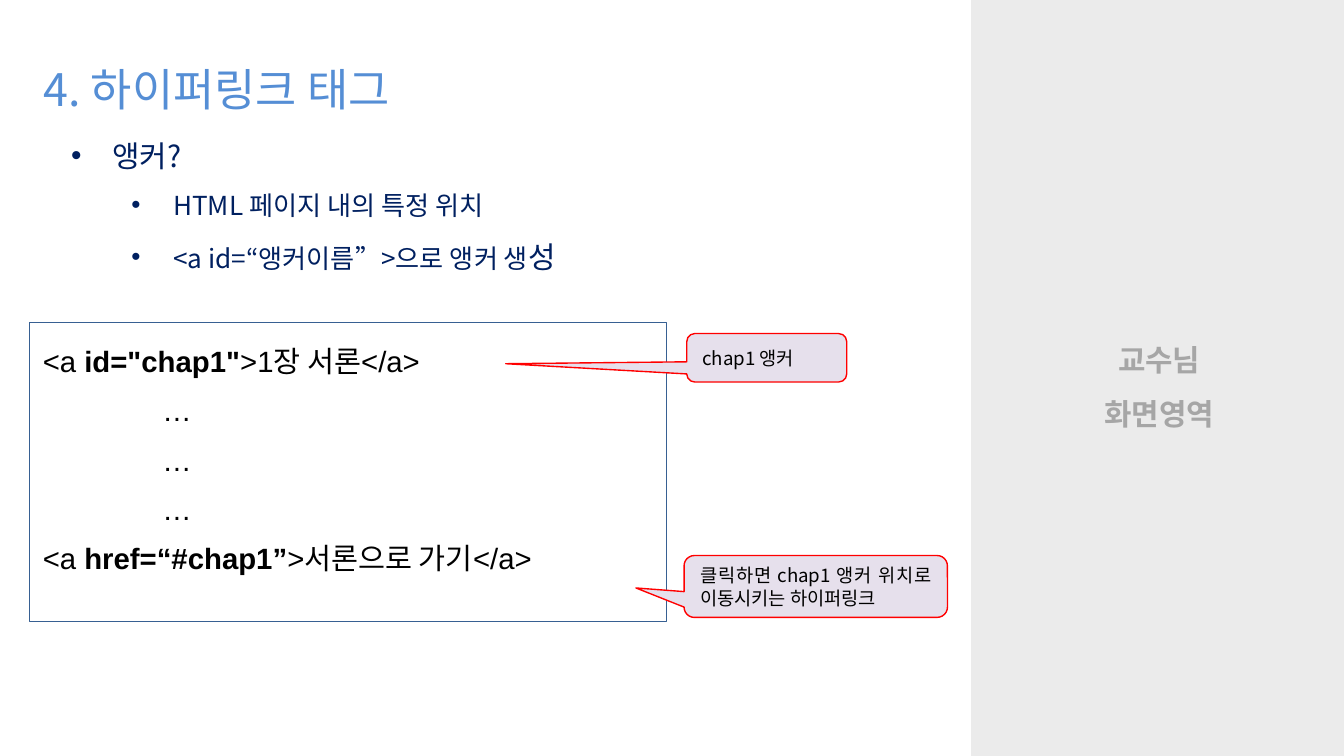
from lxml.etree import SubElement
from pptx import Presentation
from pptx.dml.color import RGBColor
from pptx.enum.shapes import MSO_SHAPE
from pptx.enum.text import MSO_ANCHOR, PP_ALIGN
from pptx.oxml.ns import qn
from pptx.util import Inches, Pt

SANS, ARIAL = "Noto Sans CJK KR", "Arial"
BLACK = RGBColor(0x00, 0x00, 0x00)
SKY = RGBColor(0x55, 0x8E, 0xD5)
NAVY = RGBColor(0x00, 0x20, 0x60)
STEEL = RGBColor(0x37, 0x60, 0x92)
RED = RGBColor(0xFF, 0x00, 0x00)
LILAC = RGBColor(0xE6, 0xE0, 0xEC)
SILVER = RGBColor(0xD9, 0xD9, 0xD9)
GREY = RGBColor(0xA6, 0xA6, 0xA6)

WIDE = Inches(10)
HIGH = WIDE * 9 // 16
HANG, TAB = 0.31, 0.89

PANEL = ["교수님", "화면영역"]
TITLE = ["4. 하이퍼링크 태그"]
BODY = [
    (0, [("앵커?", {"size": Pt(16)})]),
    (1, ["HTML 페이지 내의 특정 위치"]),
    (1, ["<a id=“앵커이름”>으로 앵커 생", ("성", {"size": Pt(16)})]),
]
BOLD = {"bold": True}
CODE = [
    ["<a ", ('id="chap1"', BOLD), ">1장 서론</a>"],
    *[["\t…"]] * 3,
    ["<a ", ("href=“#chap1”", BOLD), ">서론으로 가기</a>"],
]
NOTES = [
    ("chap1 앵커", (51.1, 44.13, 11.9, 6.41), (-1.632, 0.123, 0.167)),
    ("클릭하면 chap1 앵커 위치로 이동시키는 하이퍼링크",
     (50.9, 73.49, 19.6, 8.19), (-0.683, 0.024, 0.167)),
]

deck = Presentation()
deck.slide_width, deck.slide_height = WIDE, HIGH
slide = deck.slides.add_slide(deck.slide_layouts[6])


def place(share):
    return [int(part * side / 100) for part, side in zip(share, (WIDE, HIGH) * 2)]


def add_box(share, kind=MSO_SHAPE.RECTANGLE, fill=None, line=None):
    box = slide.shapes.add_shape(kind, *place(share))
    box.shadow.inherit = False
    if fill is None:
        box.fill.background()
    else:
        box.fill.solid()
        box.fill.fore_color.rgb = fill
    if line is None:
        box.line.fill.background()
    else:
        box.line.color.rgb = line
        box.line.width = Pt(0.75)
    return box


def add_text(box, paras, face, size, color, space=1.0,
             align=PP_ALIGN.LEFT, anchor=MSO_ANCHOR.TOP, bold=False):
    frame = box.text_frame
    frame.word_wrap = True
    frame.vertical_anchor = anchor
    for index, runs in enumerate(paras):
        para = frame.paragraphs[0] if index == 0 else frame.add_paragraph()
        para.alignment, para.line_spacing = align, space
        for item in [runs] if isinstance(runs, str) else runs:
            words, extra = (item, {}) if isinstance(item, str) else item
            run = para.add_run()
            run.text = words
            look = {"name": face, "size": Pt(size), "bold": bold, **extra}
            for key, value in look.items():
                setattr(run.font, key, value)
            run.font.color.rgb = color
            SubElement(run.font._element, qn("a:ea"), typeface=SANS)
    return frame.paragraphs


panel = add_box((72.25, 0, 28, 100), fill=SILVER)
tint = panel.fill._xPr.find(qn("a:solidFill"))[0]
SubElement(tint, qn("a:alpha"), val="50000")
add_text(panel, PANEL, ARIAL, 16, GREY, 1.5, PP_ALIGN.CENTER, MSO_ANCHOR.MIDDLE, True)

title = slide.shapes.add_textbox(*place((2.25, 6.58, 66.8, 9.61)))
add_text(title, TITLE, SANS, 24, SKY, 1.1)

body = slide.shapes.add_textbox(*place((4.3, 14.95, 66.8, 37.37)))
paras = add_text(body, [runs for _, runs in BODY], SANS, 14, NAVY, 1.5)
for para, (level, _) in zip(paras, BODY):
    para.level = level
    props = para._p.get_or_add_pPr()
    props.set("marL", str(Inches(HANG + 0.45 * level)))
    props.set("indent", str(-Inches(HANG)))
    SubElement(props, qn("a:buFont"), typeface=ARIAL)
    SubElement(props, qn("a:buChar"), char="•")

code = add_box((2.2, 42.7, 47.4, 39.5), line=STEEL)
for para in add_text(code, CODE, ARIAL, 15.7, BLACK, 1.4):
    stops = SubElement(para._p.get_or_add_pPr(), qn("a:tabLst"))
    SubElement(stops, qn("a:tab"), pos=str(Inches(TAB)), algn="l")

for words, share, bends in NOTES:
    note = add_box(share, MSO_SHAPE.ROUNDED_RECTANGULAR_CALLOUT, LILAC, RED)
    for index, bend in enumerate(bends):
        note.adjustments[index] = bend
    add_text(note, [words], SANS, 10, BLACK,
             align=PP_ALIGN.JUSTIFY, anchor=MSO_ANCHOR.MIDDLE)

deck.save("out.pptx")
